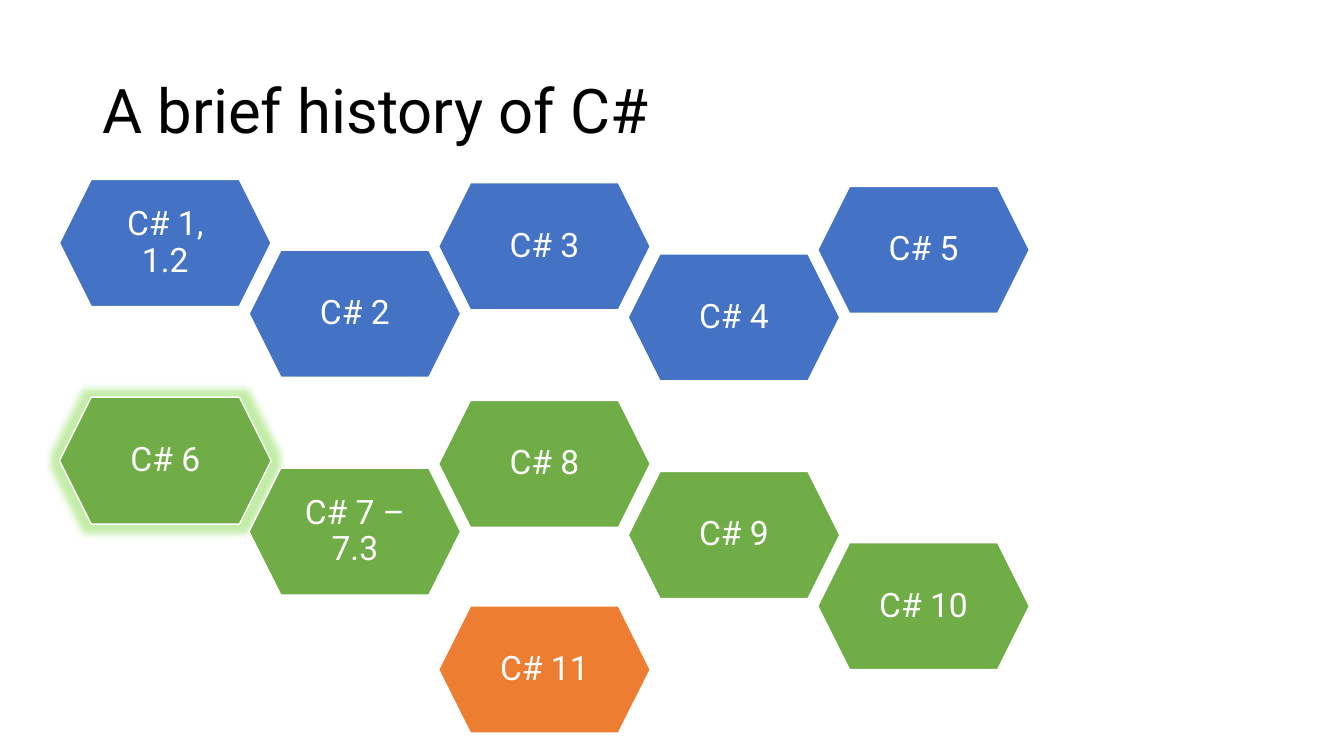
from lxml.etree import SubElement
from pptx import Presentation
from pptx.dml.color import RGBColor
from pptx.enum.shapes import MSO_SHAPE
from pptx.enum.text import MSO_ANCHOR, PP_ALIGN
from pptx.oxml.ns import qn
from pptx.util import Pt

BLACK = RGBColor(0x00, 0x00, 0x00)
WHITE = RGBColor(0xFF, 0xFF, 0xFF)
BLUE = RGBColor(0x44, 0x72, 0xC4)
GREEN = RGBColor(0x70, 0xAD, 0x47)
ORANGE = RGBColor(0xED, 0x7D, 0x31)
GLOW = RGBColor(0x68, 0xD3, 0x21)

FONT = "Roboto"
LEFT, COL_STEP = 42.5, 135.4
HEX_W, HEX_H = 151.2, 90.7

# Label, column, top in points, fill
VERSIONS = [
    ("C# 2", 1, 178.8, BLUE),
    ("C# 3", 2, 130.6, BLUE),
    ("C# 4", 3, 181.4, BLUE),
    ("C# 5", 4, 133.2, BLUE),
    ("C# 6", 0, 283.7, GREEN),
    ("C# 7 – 7.3", 1, 334.4, GREEN),
    ("C# 8", 2, 286, GREEN),
    ("C# 9", 3, 336.8, GREEN),
    ("C# 10", 4, 387.6, GREEN),
    ("C# 11", 2, 432.9, ORANGE),
]
GLOWING = "C# 6"


def add_run(p, text, size, color):
    r = p.add_run()
    r.text = text
    r.font.name = FONT
    r.font.size = Pt(size)
    r.font.color.rgb = color


def set_title(s, text):
    title = s.shapes.title
    title.left, title.top = Pt(66), Pt(28.75)
    title.width, title.height = Pt(828), Pt(104.4)
    tf = title.text_frame
    tf.vertical_anchor = MSO_ANCHOR.MIDDLE
    p = tf.paragraphs[0]
    p.alignment = PP_ALIGN.LEFT
    p.line_spacing = 0.9
    add_run(p, text, 44, BLACK)


def style_hexagon(sp, text, fill, inset_x, inset_y):
    sp.fill.solid()
    sp.fill.fore_color.rgb = fill
    sp.line.color.rgb = WHITE
    sp.line.width = Pt(1)
    sp.shadow.inherit = False
    tf = sp.text_frame
    tf.word_wrap = True
    tf.vertical_anchor = MSO_ANCHOR.MIDDLE
    tf.margin_left = tf.margin_right = Pt(inset_x)
    tf.margin_top = tf.margin_bottom = Pt(inset_y)
    p = tf.paragraphs[0]
    p.alignment = PP_ALIGN.CENTER
    p.line_spacing = 0.9
    p.space_after = Pt(8.4)
    add_run(p, text, 24, WHITE)


def add_outlined_hexagon(s, text, left, top, fill):
    corner = HEX_H / 4
    right, middle, bottom = left + HEX_W, top + HEX_H / 2, top + HEX_H
    points = [
        (left + corner, top), (right - corner, top), (right, middle),
        (right - corner, bottom), (left + corner, bottom),
    ]
    outline = s.shapes.build_freeform(Pt(left), Pt(middle))
    outline.add_line_segments([(Pt(x), Pt(y)) for x, y in points], close=True)
    style_hexagon(outline.convert_to_shape(), text, fill, 33.8, 25.2)


def add_hexagon(s, text, left, top, fill):
    sp = s.shapes.add_shape(MSO_SHAPE.HEXAGON, Pt(left), Pt(top),
                            Pt(HEX_W), Pt(HEX_H))
    style_hexagon(sp, text, fill, 18, 18)
    return sp


def add_glow(sp, radius, color, alpha):
    effects = sp.element.spPr.find(qn("a:effectLst"))
    glow = SubElement(effects, qn("a:glow"), rad=str(Pt(radius)))
    clr = SubElement(glow, qn("a:srgbClr"), val=str(color))
    SubElement(clr, qn("a:alpha"), val=str(alpha * 1000))


def main():
    prs = Presentation()
    prs.slide_width, prs.slide_height = Pt(960), Pt(540)
    s = prs.slides.add_slide(prs.slide_layouts[5])

    # Title
    set_title(s, "A brief history of C#")

    # Language versions
    add_outlined_hexagon(s, "C# 1, 1.2", LEFT, 128.2, BLUE)
    for text, col, top, fill in VERSIONS:
        sp = add_hexagon(s, text, LEFT + col * COL_STEP, top, fill)
        if text == GLOWING:
            add_glow(sp, 11, GLOW, 40)

    prs.save("out.pptx")


if __name__ == "__main__":
    main()
